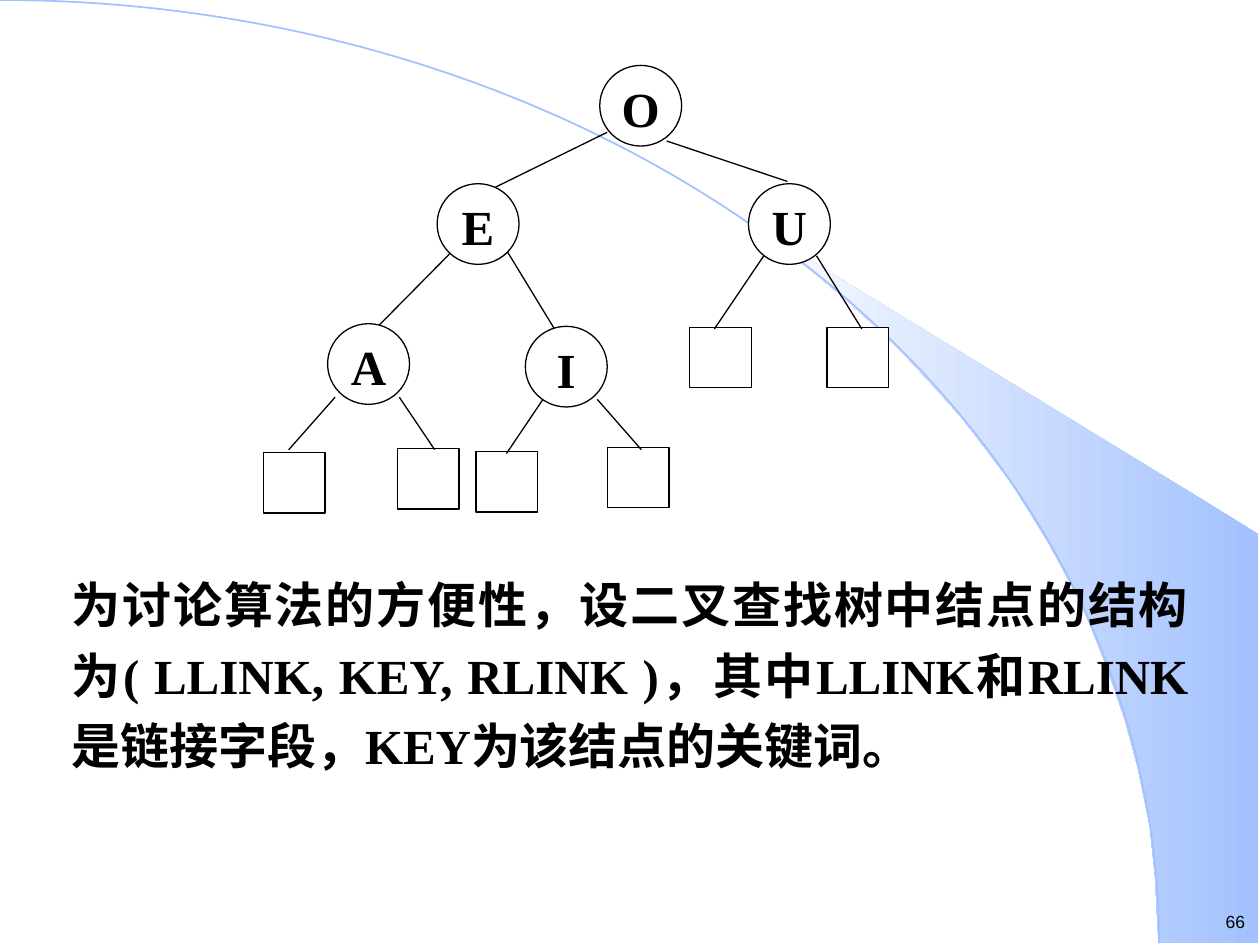
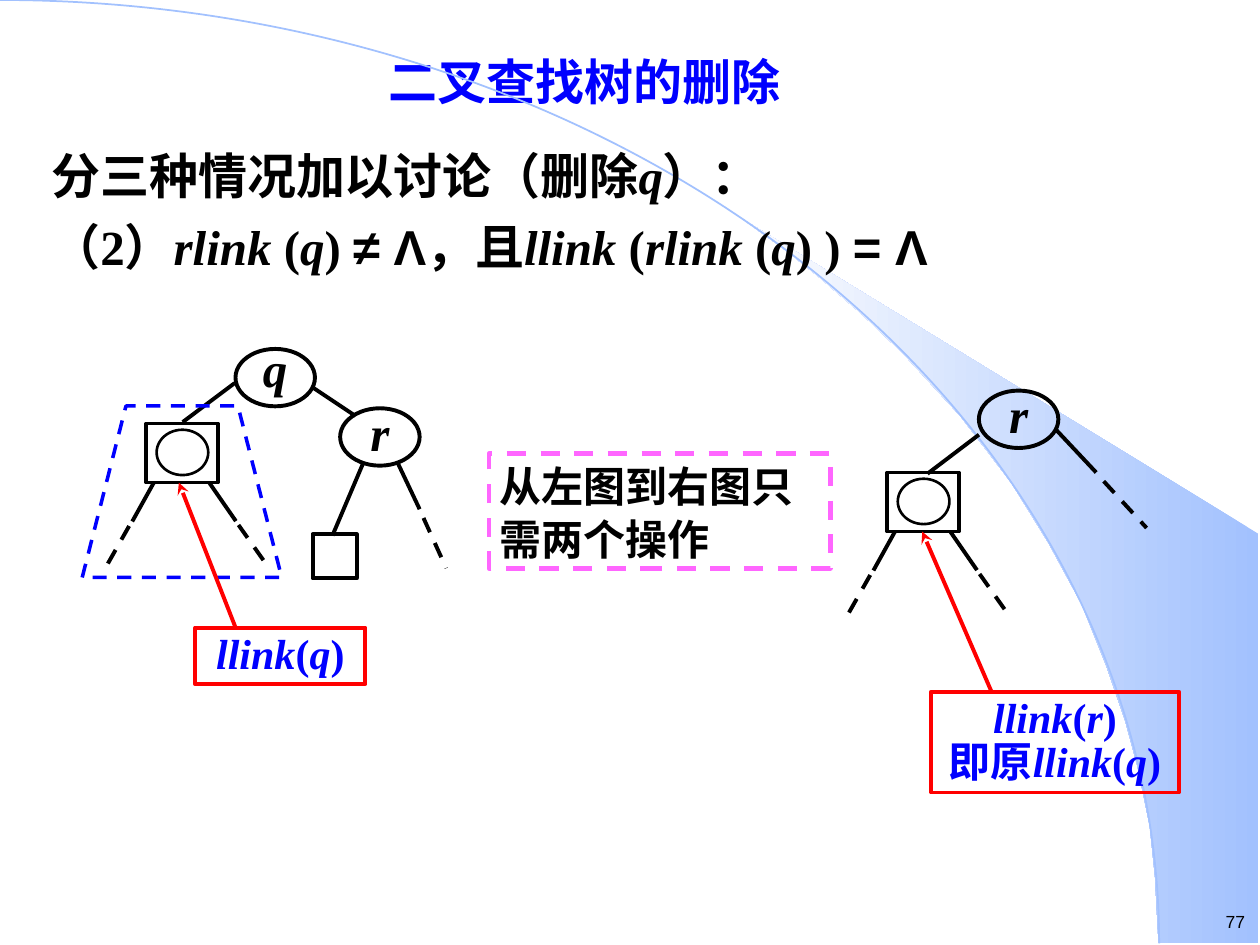
import pptx
import pptx.util
import pptx.dml.color
import pptx.enum.dml
import pptx.enum.shapes
import pptx.enum.text
import pptx.oxml.ns
import lxml.etree

Pt = pptx.util.Pt
SHAPE = pptx.enum.shapes.MSO_SHAPE
ALIGN = pptx.enum.text.PP_ALIGN
ANCHOR = pptx.enum.text.MSO_ANCHOR
DASH = pptx.enum.dml.MSO_LINE.DASH

COLORS = {"ink": "000000", "blue": "0000FF", "red": "FF0000", "pink": "FF66FF",
          "paper": "FFFFFF", "sky": "A2C1FE", "mist": "FEFEFE"}
SERIF, SANS = "Times New Roman", "Arial"

# Edge of the shaded wedge
WEDGE = [(662.4, 538.6), (719.3, 539.3), (719.3, 304.6), (424.1, 124.6),
         (449.3, 143.3), (470.2, 159.8), (493.2, 180), (515.5, 201.6),
         (548.6, 237.6), (578.2, 276.5), (599, 310.3), (617.8, 344.9),
         (632.2, 380.2), (643, 411.8), (650.2, 438.5), (657.4, 472.3),
         (660.2, 501.1)]


def rgb(name):
    return pptx.dml.color.RGBColor.from_string(COLORS[name])


def tag(parent, name, **attrs):
    lxml.etree.SubElement(parent, pptx.oxml.ns.qn(name), **attrs)


def style(shape, line=None, width=1, fill=None, dash=False):
    shape.shadow.inherit = False
    if fill:
        shape.fill.solid()
        shape.fill.fore_color.rgb = rgb(fill)
    else:
        shape.fill.background()
    if line:
        shape.line.color.rgb = rgb(line)
        shape.line.width = Pt(width)
        if dash:
            shape.line.dash_style = DASH
    else:
        shape.line.fill.background()
    return shape


def draw(slide, kind, x, y, w, h, **look):
    shape = slide.shapes.add_shape(kind, Pt(x), Pt(y), Pt(w), Pt(h))
    return style(shape, **look)


def outline(slide, points):
    path = slide.shapes.build_freeform(*points[0], scale=Pt(1))
    path.add_line_segments(points[1:], close=True)
    return path.convert_to_shape()


def link(slide, x1, y1, x2, y2, color="ink", width=2.25, dash=False, head=False):
    wire = slide.shapes.add_connector(pptx.enum.shapes.MSO_CONNECTOR.STRAIGHT,
                                      Pt(x1), Pt(y1), Pt(x2), Pt(y2))
    wire.line.color.rgb = rgb(color)
    wire.line.width = Pt(width)
    if dash:
        wire.line.dash_style = DASH
    if head:
        tag(wire.line._get_or_add_ln(), "a:tailEnd", type="stealth")
    tag(wire._element.spPr, "a:effectLst")


def write(shape, lines, size=28, color="ink", align=ALIGN.LEFT, bold=True,
          face=SERIF, pad=(7.2, 3.6, 7.2, 3.6), anchor=ANCHOR.TOP,
          gap=0, pitch=None):
    """Fill a shape with text: *...* is italic, ~...~ is sans."""
    frame = shape.text_frame
    frame.word_wrap = True
    frame.auto_size = pptx.enum.text.MSO_AUTO_SIZE.NONE
    frame.vertical_anchor = anchor
    (frame.margin_left, frame.margin_top,
     frame.margin_right, frame.margin_bottom) = map(Pt, pad)
    for row, line in enumerate(lines):
        para = frame.add_paragraph() if row else frame.paragraphs[0]
        para.alignment = align
        para.space_before = Pt(gap if row else 0)
        if pitch:
            para.line_spacing = pitch
        for i, part in enumerate(line.split("*")):
            for j, bit in enumerate(part.split("~")):
                if not bit:
                    continue
                run = para.add_run()
                run.text = bit
                run.font.name = SANS if j % 2 else face
                run.font.size = Pt(size)
                run.font.bold = bold
                run.font.italic = bool(i % 2)
                run.font.color.rgb = rgb(color)


def text(slide, x, y, w, h, lines, **look):
    write(slide.shapes.add_textbox(Pt(x), Pt(y), Pt(w), Pt(h)), lines, **look)


def base(slide, page):
    # Shaded wedge, arc and page number
    wedge = style(outline(slide, WEDGE))
    wedge.fill.gradient()
    wedge.fill.gradient_angle = 180
    for stop, name in zip(wedge.fill.gradient_stops, ("sky", "mist")):
        stop.color.rgb = rgb(name)
    draw(slide, SHAPE.ARC, -662.4, 0, 1324.8, 1078, line="sky")
    text(slide, 677.5, 517, 35.3, 19.4, [page], size=10, align=ALIGN.RIGHT,
         bold=False, face=SANS, pad=(1.4, 3.6, 1.4, 3.6))


def tree(slide, x, y):
    # Leaves
    for dx, dy in [(122, 221), (244, 150), (322.5, 150),
                   (0.5, 221.5), (77, 219.3), (197, 218.6)]:
        draw(slide, SHAPE.RECTANGLE, x + dx, y + dy, 35.3, 34.6,
             line="ink", width=0.75, fill="paper")
    # Branches
    for x1, y1, x2, y2 in [
            (197, 38.6, 131, 71), (231, 43.6, 300, 66.7),
            (108, 107, 66.7, 148.8), (138.7, 104.8, 169, 154.5),
            (287, 108.4, 258.2, 151), (316.6, 109.2, 342.5, 151),
            (41.5, 190, 15, 220), (78.2, 190, 98.4, 220),
            (160.3, 191.2, 139.4, 222.2), (191.3, 191.2, 216.5, 220)]:
        link(slide, x + x1, y + y1, x + x2, y + y2, width=0.75)
    # Keys
    for key, dx, dy in [("O", 192.7, 0.4), ("E", 99.8, 68), ("A", 37.2, 148),
                        ("U", 277.7, 68), ("I", 150.2, 149.5)]:
        node = draw(slide, SHAPE.OVAL, x + dx, y + dy, 46.8, 46.1,
                    line="ink", width=0.75, fill="paper")
        write(node, [key], align=ALIGN.CENTER, pad=(1.4, 0.7, 1.4, 0.7))


def knot(slide, x, y, name, foot=0):
    node = draw(slide, SHAPE.OVAL, x, y, 45.4, 32.8, line="ink", width=2.25)
    write(node, [f"*{name}*"], align=ALIGN.CENTER, pad=(0, 0, 0, foot),
          anchor=ANCHOR.MIDDLE, pitch=Pt(28))


def stub(slide, x, y):
    # Framed subtree with two trailing legs
    draw(slide, SHAPE.RECTANGLE, x, y, 41, 33.8, line="ink", width=2)
    draw(slide, SHAPE.OVAL, x + 6, y + 3.6, 29.5, 25.9, line="ink", width=1.5)
    for x1, y1, x2, y2, dash in [
            (36.2, 34, 51.3, 55.8, False), (52.8, 58, 68, 79.5, True),
            (4.3, 34, -7.9, 56, False), (-9.7, 58.6, -22, 80.3, True)]:
        link(slide, x + x1, y + y1, x + x2, y + y2, dash=dash)


def label(slide, x, y, w, h, lines, tip):
    # Red box whose arrow runs from its top edge to the tip
    box = draw(slide, SHAPE.RECTANGLE, x, y, w, h, line="red", width=2.25)
    write(box, lines, size=24, color="blue", align=ALIGN.CENTER, pitch=Pt(25))
    link(slide, *tip, color="red", head=True)


def before(slide, x, y):
    for x1, y1, x2, y2, dash in [
            (181.5, 66, 193.8, 92, False), (196, 97, 209, 125.7, True),
            (161.4, 66, 144, 107, False), (133.3, 22.8, 157, 38.6, False),
            (88, 20, 58.4, 42.2, False)]:
        link(slide, x + x1, y + y1, x + x2, y + y2, dash=dash)
    knot(slide, x + 88.6, y + 0.4, "q", foot=5.8)
    knot(slide, x + 148.4, y + 34.3, "r")
    draw(slide, SHAPE.RECTANGLE, x + 132.6, y + 106.3, 25.2, 25.2,
         line="ink", width=2.25)
    stub(slide, x + 37.5, y + 43)
    fence = [(0.8, 131.5), (26, 32.8), (90, 32.8), (114.6, 131.5)]
    style(outline(slide, [(x + dx, y + dy) for dx, dy in fence]),
          line="blue", width=2, dash=True)
    label(slide, x + 65.6, y + 159.6, 97.2, 32.4, ["*llink*(*q*)"],
          (x + 88.6, y + 159.6, x + 56.2, y + 76.8))


def after(slide, x, y):
    for x1, y1, x2, y2, dash in [
            (74.4, 25.4, 45, 47.7, False), (118.4, 22.5, 141.4, 47, False),
            (145.7, 52, 170.2, 78.7, True)]:
        link(slide, x + x1, y + y1, x + x2, y + y2, dash=dash)
    knot(slide, x + 74.4, y + 0.2, "r")
    stub(slide, x + 22, y + 47)
    label(slide, x + 47, y + 172.3, 141.8, 57.6,
          ["*llink*(*r*)", "即原*llink*(*q*)"],
          (x + 81.6, y + 172.3, x + 42, y + 80.8))


def intro(deck):
    slide = deck.slides.add_slide(deck.slide_layouts[6])
    base(slide, "66")
    text(slide, 33.8, 318.2, 652.3, 181.4,
         ["为讨论算法的方便性，设二叉查找树中结点的结构为( LLINK, KEY, RLINK )，"
          "其中LLINK和RLINK是链接字段，KEY为该结点的关键词。"],
         align=ALIGN.JUSTIFY, pitch=1.2)
    tree(slide, 150, 37)


def remove(deck):
    slide = deck.slides.add_slide(deck.slide_layouts[5])
    base(slide, "77")
    # Title and cases
    title = slide.shapes.title
    title.left, title.top, title.width, title.height = map(
        Pt, (22.3, 25.9, 623.5, 44))
    write(title, ["二叉查找树的删除"], color="blue", align=ALIGN.CENTER)
    text(slide, 22.3, 79.8, 623.5, 91,
         ["分三种情况加以讨论（删除*q*）：",
          "（2）*rlink* (*q*) ~≠ Λ~，且*llink* (*rlink* (*q*) ) ~= Λ~"], gap=7)
    # Diagrams and the note between them
    after(slide, 485, 223)
    before(slide, 46, 199)
    note = draw(slide, SHAPE.RECTANGLE, 279.4, 259.2, 195.1, 65.5,
                line="pink", width=2.75, dash=True)
    write(note, ["从左图到右图只", "需两个操作"], size=24, pitch=Pt(30),
          pad=(5.8, 2.9, 2.9, 2.9), anchor=ANCHOR.MIDDLE)


def main():
    deck = pptx.Presentation()
    deck.slide_width, deck.slide_height = Pt(720), Pt(540)
    intro(deck)
    remove(deck)
    deck.save("out.pptx")


if __name__ == "__main__":
    main()
